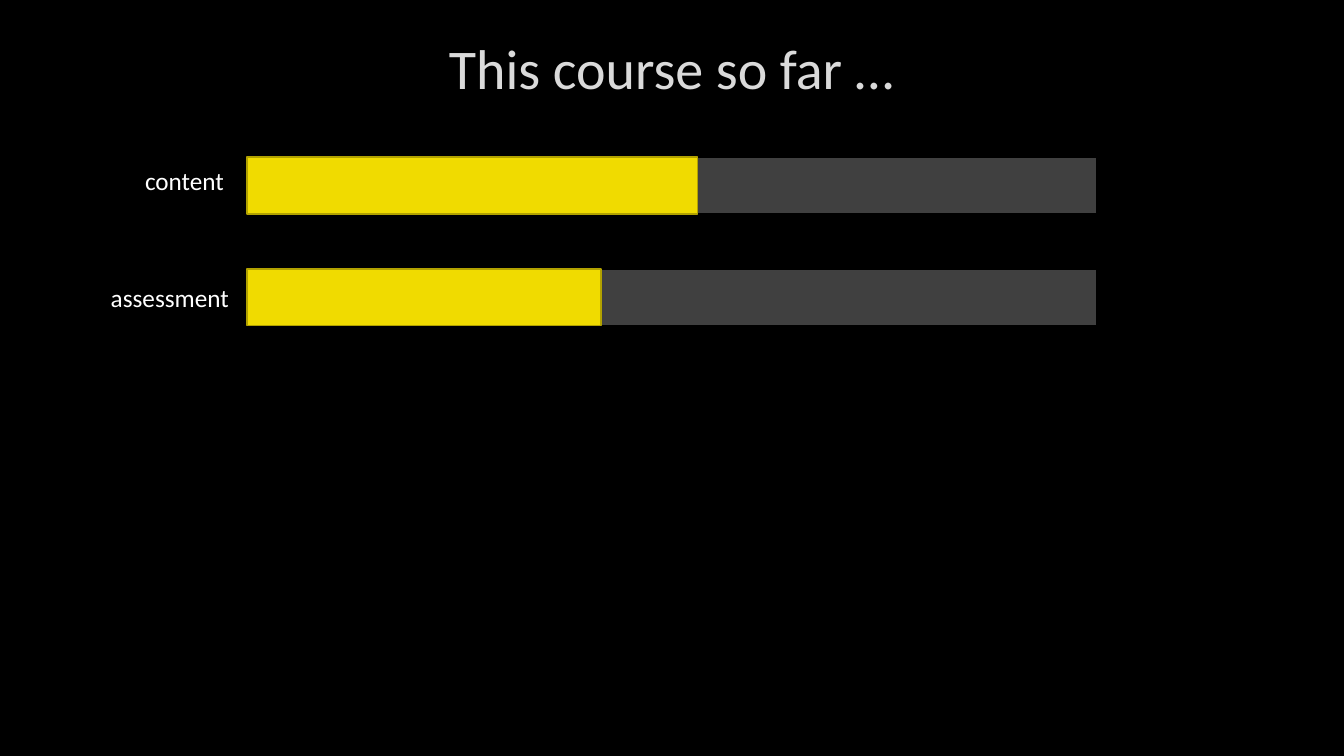
from lxml.etree import SubElement
from pptx import Presentation
from pptx.dml.color import RGBColor
from pptx.enum.shapes import MSO_SHAPE
from pptx.enum.text import MSO_ANCHOR, MSO_AUTO_SIZE, PP_ALIGN
from pptx.oxml import parse_xml
from pptx.oxml.ns import nsdecls, qn
from pptx.util import Inches, Pt

BLACK = RGBColor(0x00, 0x00, 0x00)
WHITE = RGBColor(0xFF, 0xFF, 0xFF)
TITLE_GREY = RGBColor(0xDA, 0xDA, 0xDA)
TRACK_GREY = RGBColor(0x40, 0x40, 0x40)
YELLOW = RGBColor(0xF0, 0xDB, 0x00)
DARK_YELLOW = RGBColor(0xB2, 0xA2, 0x00)

BAR_LEFT, BAR_WIDTH, BAR_HEIGHT = 18.38, 63.23, 7.47
FIRST_BAR_TOP, BAR_PITCH = 20.8, 14.8
LABEL_WIDTH, LABEL_HEIGHT = 10.8, 5.33
PROGRESS = [
    ("content", 53, 10.05, 21.2),
    ("assessment", 41.64, 7.5, 36.67),
]


class ProgressSlide:
    """Draws styled elements, placed in percent of the slide's size."""

    font_name = "Calibri"

    def __init__(self, presentation):
        """Add a black slide with a title to the presentation."""
        self.presentation = presentation
        self.slide = presentation.slides.add_slide(presentation.slide_layouts[5])
        background = self.slide.background.fill
        background.solid()
        background.fore_color.rgb = BLACK

    def box(self, left, top, width, height):
        """Convert percentages to slide lengths."""
        slide_width = self.presentation.slide_width
        slide_height = self.presentation.slide_height
        return (round(slide_width * left / 100), round(slide_height * top / 100),
                round(slide_width * width / 100), round(slide_height * height / 100))

    def set_text(self, shape, text, size, color):
        """Set and format one line of text, returning its paragraph."""
        shape.text_frame.text = text
        paragraph = shape.text_frame.paragraphs[0]
        font = paragraph.runs[0].font
        font.name = self.font_name
        font.size = Pt(size)
        font.color.rgb = color
        return paragraph

    def title(self, text, *area):
        """Place the centred title with its faint letter outline."""
        shape = self.slide.shapes.title
        shape.left, shape.top, shape.width, shape.height = self.box(*area)
        paragraph = self.set_text(shape, text, 40, TITLE_GREY)
        paragraph.alignment = PP_ALIGN.CENTER
        shape.text_frame.vertical_anchor = MSO_ANCHOR.MIDDLE
        shape.text_frame.auto_size = MSO_AUTO_SIZE.NONE
        outline = parse_xml(f'<a:ln {nsdecls("a")} w="{Pt(0.75)}"/>')
        fill = SubElement(outline, qn("a:solidFill"))
        color = SubElement(fill, qn("a:srgbClr"), val=str(TRACK_GREY))
        SubElement(color, qn("a:alpha"), val="10000")
        paragraph.runs[0]._r.get_or_add_rPr().insert(0, outline)

    def bar(self, top, percent, fill_color, line_color):
        """Draw a bar that covers a percentage of the full track."""
        area = self.box(BAR_LEFT, top, BAR_WIDTH * percent / 100, BAR_HEIGHT)
        shape = self.slide.shapes.add_shape(MSO_SHAPE.RECTANGLE, *area)
        shape.shadow.inherit = False
        shape.fill.solid()
        shape.fill.fore_color.rgb = fill_color
        shape.line.color.rgb = line_color
        shape.line.width = Pt(1.25)

    def label(self, text, left, top):
        """Place the name of a bar."""
        area = self.box(left, top, LABEL_WIDTH, LABEL_HEIGHT)
        shape = self.slide.shapes.add_textbox(*area)
        self.set_text(shape, text, 18, WHITE)
        shape.text_frame.word_wrap = True
        shape.text_frame.auto_size = MSO_AUTO_SIZE.SHAPE_TO_FIT_TEXT


def main():
    """Build and save the presentation."""
    presentation = Presentation()
    presentation.slide_width = Inches(13.33)
    presentation.slide_height = Inches(7.5)
    page = ProgressSlide(presentation)
    page.title("This course so far …", 7.5, 1.87, 84.9, 14.13)
    for row, (name, percent, label_left, label_top) in enumerate(PROGRESS):
        top = FIRST_BAR_TOP + row * BAR_PITCH
        page.bar(top, 100, TRACK_GREY, BLACK)
        page.bar(top, percent, YELLOW, DARK_YELLOW)
        page.label(name, label_left, label_top)
    presentation.save("out.pptx")


if __name__ == "__main__":
    main()
